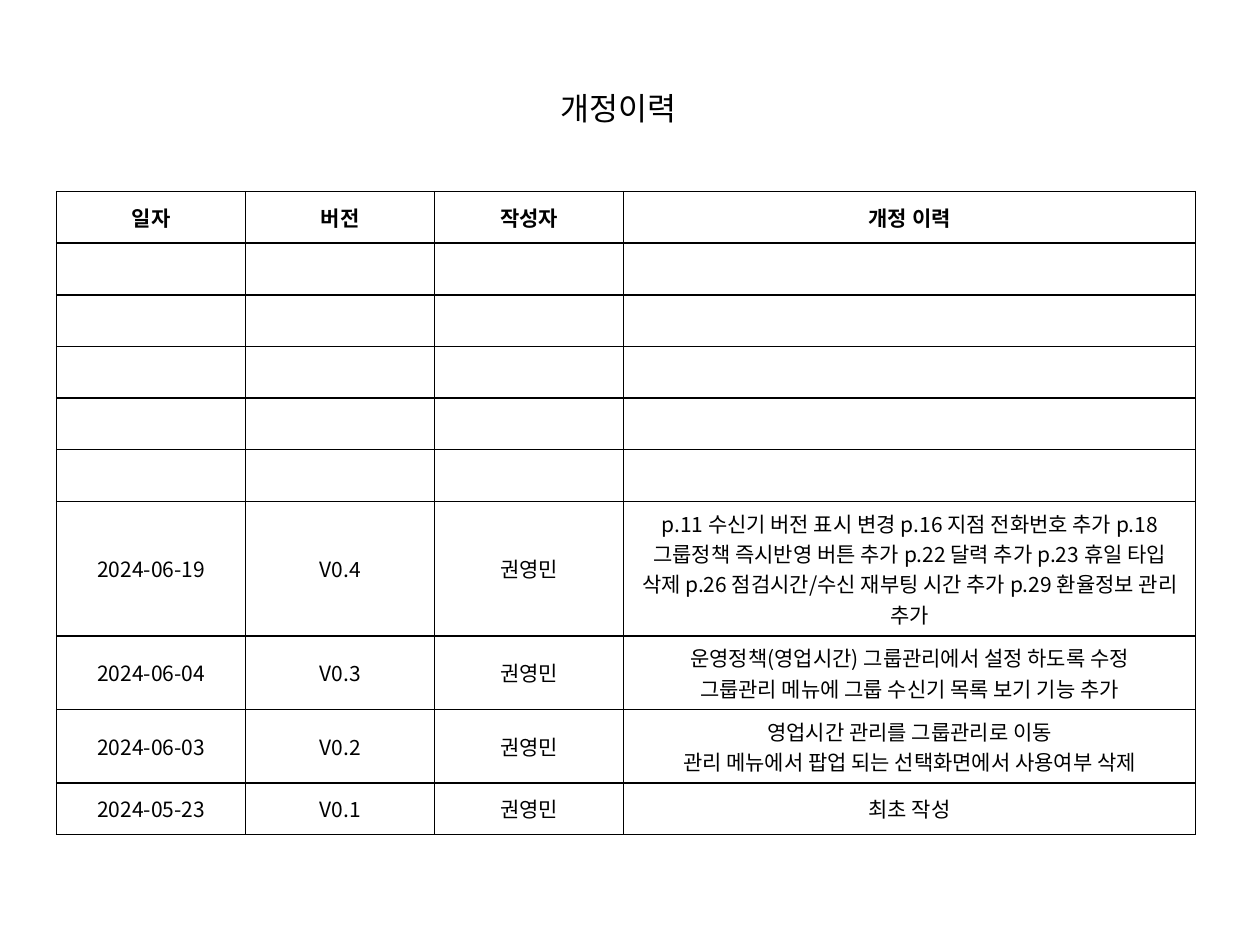
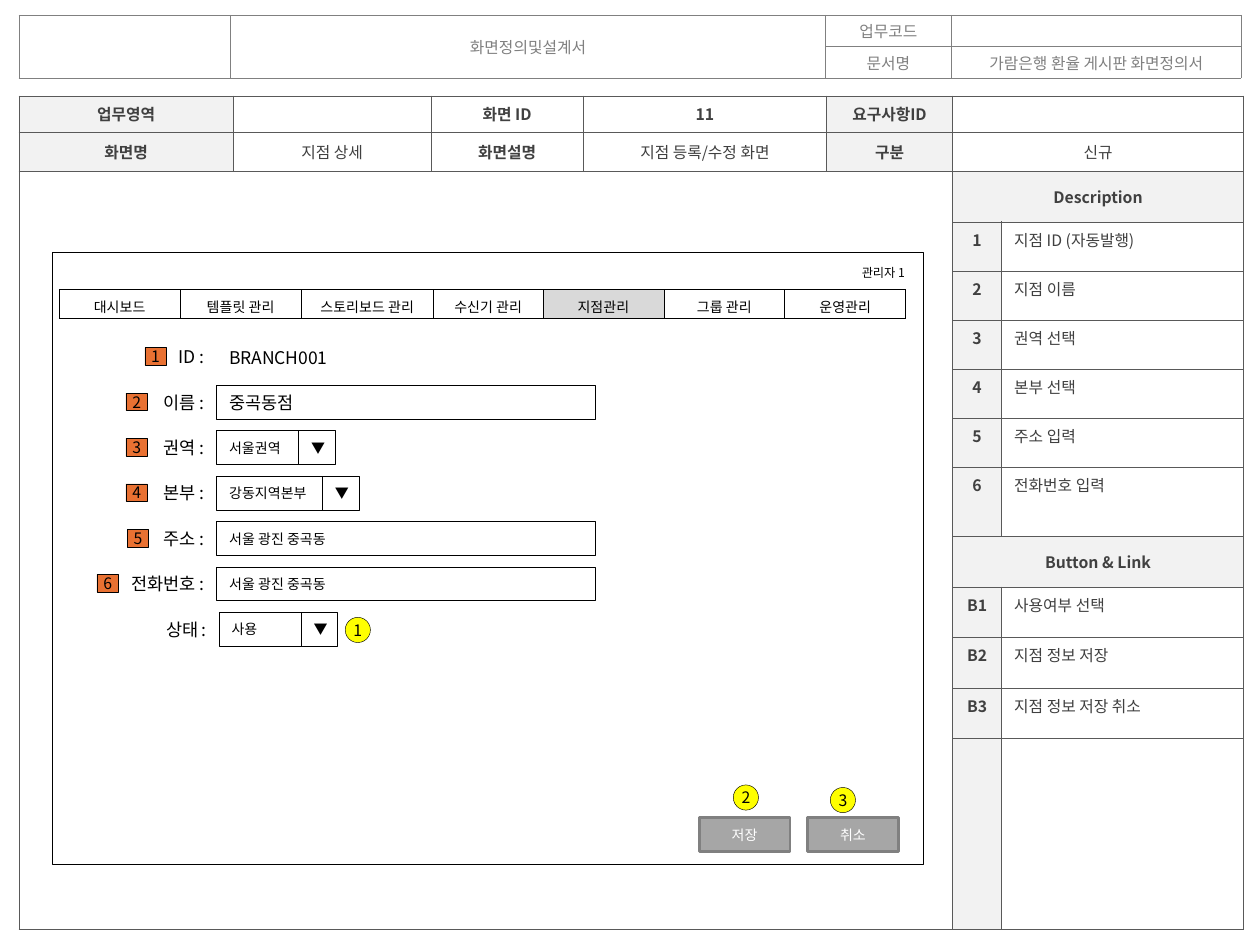
"""Build a revision history page and a branch detail screen specification."""
from lxml import etree
from pptx import Presentation
from pptx import util as u
from pptx.dml.color import RGBColor
from pptx.enum import shapes, text
from pptx.oxml import ns

FONT = "Noto Sans CJK KR"
BLACK, WHITE, DARK, GRAY = "000000", "FFFFFF", "404040", "808080"
HEAD, ACTIVE, BUTTON, ORANGE, YELLOW = "F2F2F2", "D9D9D9", "A6A6A6", "E97132", "FFFF00"
LEFT, CENTER, RIGHT = text.PP_ALIGN.LEFT, text.PP_ALIGN.CENTER, text.PP_ALIGN.RIGHT
TOP, MIDDLE = text.MSO_ANCHOR.TOP, text.MSO_ANCHOR.MIDDLE
RECT, OVAL = shapes.MSO_SHAPE.RECTANGLE, shapes.MSO_SHAPE.OVAL

HISTORY_HEAD = ["일자", "버전", "작성자", "개정 이력"]
EMPTY_ROWS = 5
AUTHOR = "권영민"
HISTORY = [
    ("2024-06-19", "V0.4", "p.11 수신기 버전 표시 변경 p.16 지점 전화번호 추가 p.18 "
     "그룹정책 즉시반영 버튼 추가 p.22 달력 추가 p.23 휴일 타입 삭제 "
     "p.26 점검시간/수신 재부팅 시간 추가 p.29 환율정보 관리 추가"),
    ("2024-06-04", "V0.3", "운영정책(영업시간) 그룹관리에서 설정 하도록 수정\n"
     "그룹관리 메뉴에 그룹 수신기 목록 보기 기능 추가"),
    ("2024-06-03", "V0.2", "영업시간 관리를 그룹관리로 이동\n"
     "관리 메뉴에서 팝업 되는 선택화면에서 사용여부 삭제"),
    ("2024-05-23", "V0.1", "최초 작성"),
]
DOCUMENT = [
    ["", "화면정의및설계서", "업무코드", ""],
    ["", "", "문서명", "가람은행 환율 게시판 화면정의서"],
]
SCREEN = [
    ["업무영역", "", "화면 ID", "11", "요구사항ID", ""],
    ["화면명", "지점 상세", "화면설명", "지점 등록/수정 화면", "구분", "신규"],
]
NOTES = [
    ("Description", None), ("1", "지점 ID (자동발행)"), ("2", "지점 이름"),
    ("3", "권역 선택"), ("4", "본부 선택"), ("5", "주소 입력"), ("6", "전화번호 입력"),
    ("Button & Link", None), ("B1", "사용여부 선택"), ("B2", "지점 정보 저장"),
    ("B3", "지점 정보 저장 취소"), ("", ""),
]
MENU = ["대시보드", "템플릿 관리", "스토리보드 관리", "수신기 관리", "지점관리", "그룹 관리", "운영관리"]
FIELDS = [
    dict(label="ID :", value="BRANCH001", size=10, line=WHITE, badge=1.15),
    dict(label="이름 :", value="중곡동점", size=10, badge=1.0),
    dict(label="권역 :", value="서울권역", width=0.83, badge=1.0),
    dict(label="본부 :", value="강동지역본부", width=1.02, badge=1.0),
    dict(label="주소 :", value="서울 광진 중곡동", badge=1.01),
    dict(label="전화번호 :", value="서울 광진 중곡동", badge=0.77),
    dict(label="상태 :", value="사용", width=0.83, left=1.74),
]
FIELD_LEFT, FIELD_TOP, FIELD_PITCH = 1.72, 2.7, 0.36
FIELD_WIDTH, FIELD_HEIGHT = 3.01, 0.27
BUTTONS = [("저장", 5.55), ("취소", 6.41)]
MARKERS = [("1", 2.74, 4.9), ("2", 5.82, 6.23), ("3", 6.59, 6.25)]


def rgb(value):
    return RGBColor.from_string(value)


def write(frame, words, size=9, color=BLACK, bold=False, align=LEFT):
    for number, line in enumerate(words.split("\n")):
        para = frame.paragraphs[0] if number == 0 else frame.add_paragraph()
        para.alignment = align
        if not line:
            etree.SubElement(para._p, ns.qn("a:endParaRPr"), sz=str(size * 100))
            continue
        span = para.add_run()
        span.text = line
        span.font.name, span.font.size, span.font.bold = FONT, u.Pt(size), bold
        span.font.color.rgb = rgb(color)
        etree.SubElement(span._r.get_or_add_rPr(), ns.qn("a:ea"), typeface=FONT)


def set_margins(holder, left, top, right, bottom):
    holder.margin_left, holder.margin_top = u.Inches(left), u.Inches(top)
    holder.margin_right, holder.margin_bottom = u.Inches(right), u.Inches(bottom)


def add_box(page, words, at, kind=RECT, fill=WHITE, line=BLACK, weight=0.5,
            inset=0.1, **style):
    box = page.shapes.add_shape(kind, *map(u.Inches, at))
    box.shadow.inherit = False
    box.fill.solid()
    box.fill.fore_color.rgb = rgb(fill)
    box.line.color.rgb = rgb(line)
    box.line.width = u.Pt(weight)
    frame = box.text_frame
    frame.word_wrap, frame.vertical_anchor = False, MIDDLE
    set_margins(frame, inset, 0, inset, 0)
    write(frame, words, **style)


def add_label(page, words, right, top, height, size):
    box = page.shapes.add_textbox(u.Inches(right - 1), u.Inches(top), u.Inches(1), u.Inches(height))
    box.text_frame.word_wrap = True
    write(box.text_frame, words, size=size, align=RIGHT)


def draw_borders(cell, color, weight):
    props = cell._tc.get_or_add_tcPr()
    for position, side in enumerate(("lnL", "lnR", "lnT", "lnB")):
        edge = etree.Element(ns.qn("a:" + side), w=str(u.Pt(weight)))
        solid = etree.SubElement(edge, ns.qn("a:solidFill"))
        etree.SubElement(solid, ns.qn("a:srgbClr"), val=color)
        props.insert(position, edge)


def add_grid(page, left, top, cols, rows, border, weight):
    frame = page.shapes.add_table(len(rows), len(cols), u.Inches(left), u.Inches(top),
                                  u.Inches(sum(cols)), u.Inches(sum(rows)))
    grid = frame.table
    grid.first_row = grid.horz_banding = False
    for column, width in zip(grid.columns, cols):
        column.width = u.Inches(width)
    for row, height in zip(grid.rows, rows):
        row.height = u.Inches(height)
    for cell in grid.iter_cells():
        draw_borders(cell, border, weight)
        cell.fill.solid()
        cell.fill.fore_color.rgb = rgb(WHITE)
    return grid


def fill_cell(cell, words, fill=WHITE, margins=(0.1, 0, 0.1, 0), anchor=MIDDLE,
              align=CENTER, **style):
    cell.fill.fore_color.rgb = rgb(fill)
    cell.vertical_anchor = anchor
    set_margins(cell, *margins)
    write(cell.text_frame, words, align=align, **style)


def build_history(deck):
    page = deck.slides.add_slide(deck.slide_layouts[5])
    title = page.shapes.title
    title.left, title.top, title.width, title.height = map(u.Inches, (4.35, 0.66, 1.21, 0.4))
    frame = title.text_frame
    frame.word_wrap, frame.auto_size = False, text.MSO_AUTO_SIZE.NONE
    write(frame, "개정이력", size=18)

    lines = [HISTORY_HEAD] + [[""] * 4] * EMPTY_ROWS
    lines += [(date, version, AUTHOR, change) for date, version, change in HISTORY]
    heights = [0.41] * 6 + [1.06, 0.58, 0.58, 0.41]
    grid = add_grid(page, 0.45, 1.52, [1.5] * 3 + [4.54], heights, BLACK, 1)
    for r, line in enumerate(lines):
        for c, words in enumerate(line):
            fill_cell(grid.cell(r, c), words, margins=(0.1, 0.05, 0.1, 0.05),
                      size=12, bold=r == 0)


def add_document_header(page):
    grid = add_grid(page, 0.15, 0.12, [1.68, 4.72, 1, 2.3], [0.25] * 2, GRAY, 0.25)
    for r, line in enumerate(DOCUMENT):
        for c, words in enumerate(line):
            fill_cell(grid.cell(r, c), words, margins=(0.08, 0, 0.08, 0), color=GRAY)
    for c in (0, 1):
        grid.cell(0, c).merge(grid.cell(1, c))


def add_specification(page):
    heights = [0.29, 0.31, 0.4] + [0.39] * 5 + [0.55] + [0.4] * 4 + [1.52]
    grid = add_grid(page, 0.15, 0.76, [1.7, 1.57, 1.21, 1.93, 1, 0.39, 1.92],
                    heights, "595959", 0.25)
    for r, line in enumerate(SCREEN):
        for c, words in enumerate(line):
            fill_cell(grid.cell(r, c), words, fill=HEAD if c in (0, 4) else WHITE,
                      color=DARK, bold=r == 0 or c % 2 == 0)
        grid.cell(r, 5).merge(grid.cell(r, 6))
    for r, (mark, note) in enumerate(NOTES, len(SCREEN)):
        key, detail = grid.cell(r, 5), grid.cell(r, 6)
        fill_cell(key, mark, fill=HEAD, margins=(0.04, 0.05, 0.04, 0.05), color=DARK,
                  bold=True, anchor=MIDDLE if note is None else TOP)
        if note is None:
            key.merge(detail)
        else:
            fill_cell(detail, note, margins=(0.1, 0.05, 0.1, 0.05), color=DARK,
                      anchor=TOP, align=LEFT)
    grid.cell(2, 0).merge(grid.cell(len(heights) - 1, 4))


def add_menu(page):
    grid = add_grid(page, 0.47, 2.3, [0.96, 0.96, 1.05, 0.87, 0.96, 0.96, 0.96],
                    [0.23], BLACK, 0.5)
    for c, words in enumerate(MENU):
        fill_cell(grid.cell(0, c), words, fill=ACTIVE if words == "지점관리" else WHITE,
                  margins=(0.05, 0.05, 0.05, 0.02), anchor=TOP, size=8)


def add_field(page, number, label, value, size=8, line=BLACK, width=None,
              left=FIELD_LEFT, badge=None):
    top = FIELD_TOP + FIELD_PITCH * (number - 1)
    add_label(page, label, left, top, FIELD_HEIGHT, 10)
    add_box(page, value, (left, top, width or FIELD_WIDTH, FIELD_HEIGHT), line=line, size=size)
    if width:
        add_box(page, "▼", (left + width - 0.18, top, 0.29, FIELD_HEIGHT), size=8)
    if badge:
        add_box(page, str(number), (badge, top + 0.06, 0.17, 0.14), fill=ORANGE,
                weight=0.25, inset=0, align=CENTER)


def build_branch_detail(deck):
    page = deck.slides.add_slide(deck.slide_layouts[6])
    add_document_header(page)
    add_specification(page)
    add_box(page, "", (0.42, 2, 6.91, 4.86))
    add_label(page, "관리자 1", 7.28, 2.06, 0.22, 7)
    add_menu(page)
    for number, field in enumerate(FIELDS, 1):
        add_field(page, number, **field)
    for words, left in BUTTONS:
        add_box(page, words, (left, 6.49, 0.72, 0.27), fill=BUTTON, line=GRAY, weight=1.5,
                size=8, color=WHITE, align=CENTER)
    for words, left, top in MARKERS:
        add_box(page, words, (left, top, 0.2, 0.2), kind=OVAL, fill=YELLOW, weight=0.25,
                inset=0, align=CENTER)


def main():
    deck = Presentation()
    deck.slide_width, deck.slide_height = u.Inches(10), u.Inches(7.5)
    build_history(deck)
    build_branch_detail(deck)
    deck.save("out.pptx")


if __name__ == "__main__":
    main()
